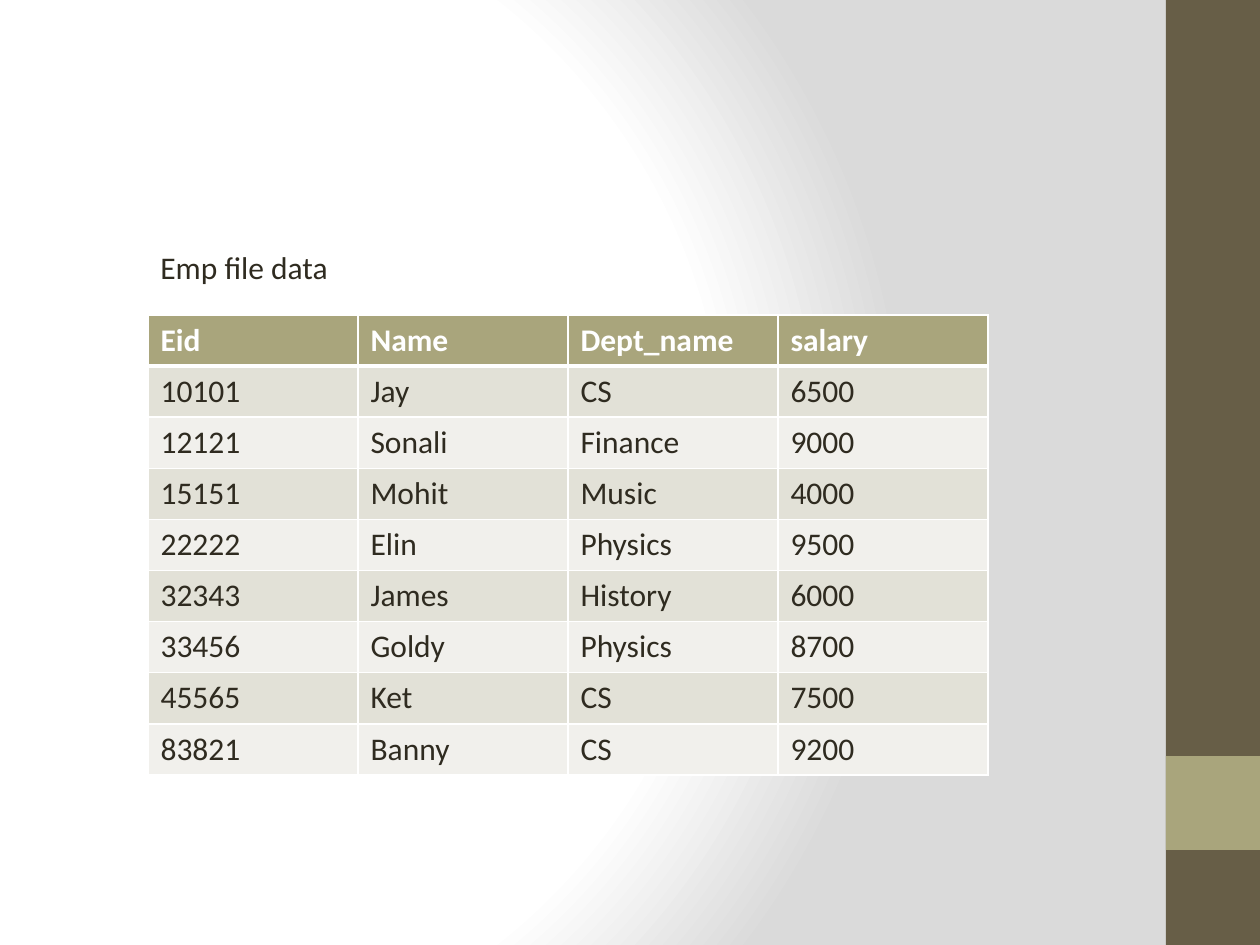
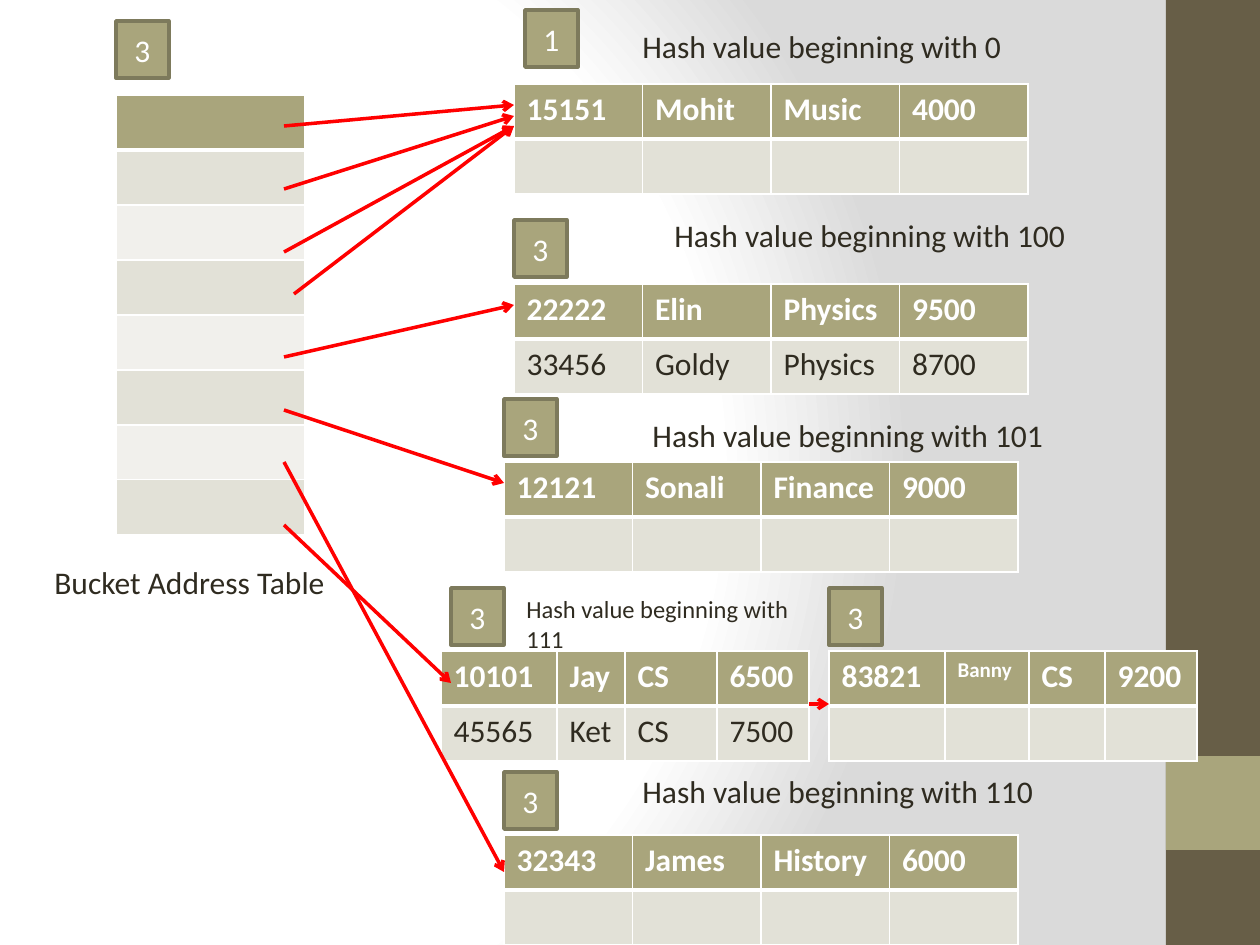
import pptx
import pptx.dml.color
import pptx.enum.dml
import pptx.enum.shapes
import pptx.enum.text
import pptx.oxml
import pptx.oxml.ns
import pptx.util

FONT = "Calibri"
WHITE, INK, SAGE, BROWN = "FFFFFF", "2F2B20", "A9A57C", "675E47"
SAGE_EDGE, RED = "7D7A5C", "FF0000"
ROW_FILLS = ("F1F0EC", "E2E1D7")
GRADIENT = ((0, WHITE), (75, WHITE), (100, "DADADA"))

PX_PER_INCH = 126
SLIDE_SIZE = (1260, 945)
BANDS = ((1166, 0, 94, 945, BROWN), (1166, 756, 94, 94, SAGE))
BADGE_SIZE = (53, 57)
LABEL_HEIGHT = 50

HEADINGS = ("Eid", "Name", "Dept_name", "salary")
EMPLOYEES = (
    ("10101", "Jay", "CS", "6500"),
    ("12121", "Sonali", "Finance", "9000"),
    ("15151", "Mohit", "Music", "4000"),
    ("22222", "Elin", "Physics", "9500"),
    ("32343", "James", "History", "6000"),
    ("33456", "Goldy", "Physics", "8700"),
    ("45565", "Ket", "CS", "7500"),
    ("83821", "Banny", "CS", "9200"),
)
EMPLOYEE_BY_ID = {employee[0]: employee for employee in EMPLOYEES}
BLANK_RECORD = ("",) * len(HEADINGS)
BUCKET_SLOTS = 2

EVEN_COLUMNS = (514 / 4,) * 4
# depth, badge place, table place, column widths, employee ids
BUCKETS = (
    ("1", (525, 10), (514, 84), EVEN_COLUMNS, ("15151",)),
    ("3", (514, 220), (514, 284), EVEN_COLUMNS, ("22222", "33456")),
    ("3", (504, 399), (504, 462), EVEN_COLUMNS, ("12121",)),
    ("3", (451, 588), (441, 651), (116, 68, 92, 92), ("10101", "45565")),
    ("3", (829, 588), (829, 651), (116, 84, 76, 92), ("83821",)),
    ("3", (504, 772), (504, 835), EVEN_COLUMNS, ("32343",)),
)
# hash prefix, left, top, width, text size
PREFIX_LABELS = (
    ("0", 630, 21, 388, 18),
    ("100", 662, 210, 462, 18),
    ("101", 640, 410, 462, 18),
    ("111", 514, 588, 315, 14),
    ("110", 630, 766, 462, 18),
)
POINTERS = (
    ((284, 126), (514, 105)),
    ((284, 189), (514, 116)),
    ((284, 252), (514, 126)),
    ((294, 294), (514, 126)),
    ((284, 357), (514, 305)),
    ((284, 410), (504, 483)),
    ((284, 462), (504, 872)),
    ((284, 525), (451, 683)),
    ((809, 704), (829, 704)),
)


def px(*lengths):
    return [pptx.util.Emu(round(length * 914400 / PX_PER_INCH)) for length in lengths]


def color(hex_string):
    return pptx.dml.color.RGBColor.from_string(hex_string)


def xml(tag, inner="", attributes=""):
    namespace = pptx.oxml.ns.nsdecls("a")
    return pptx.oxml.parse_xml(f"<a:{tag} {namespace} {attributes}>{inner}</a:{tag}>")


def solid_xml(hex_string):
    return f'<a:solidFill><a:srgbClr val="{hex_string}"/></a:solidFill>'


def format_text(text_frame, hex_string, size=18, bold=False):
    for para in text_frame.paragraphs:
        for span in para.runs:
            span.font.name = FONT
            span.font.size = pptx.util.Pt(size)
            span.font.bold = bold
            span.font.color.rgb = color(hex_string)


def add_rectangle(slide, left, top, width, height, fill):
    box = slide.shapes.add_shape(
        pptx.enum.shapes.MSO_SHAPE.RECTANGLE, *px(left, top, width, height))
    box.shadow.inherit = False
    box.fill.solid()
    box.fill.fore_color.rgb = color(fill)
    box.line.fill.background()
    return box


def style_master(deck, slide):
    """Give the master its background and side bands, built by way of one slide."""
    master = deck.slide_master
    fill = master.background.fill
    fill.solid()
    stops = "".join(
        f'<a:gs pos="{place * 1000}"><a:srgbClr val="{hex_string}"/></a:gs>'
        for place, hex_string in GRADIENT)
    gradient = xml(
        "gradFill",
        f'<a:gsLst>{stops}</a:gsLst><a:path path="circle">'
        '<a:fillToRect l="20000" t="50000" r="100000" b="50000"/></a:path>',
        'rotWithShape="1"')
    solid = master.element.find(".//" + pptx.oxml.ns.qn("p:bgPr"))[0]
    solid.getparent().replace(solid, gradient)
    for number, band in enumerate(BANDS):
        element = add_rectangle(slide, *band).element
        element.xpath(".//p:cNvPr")[0].set("id", str(100 + number))
        master.shapes.element.insert(2 + number, element)


def add_label(slide, text, left, top, width, size=18):
    box = slide.shapes.add_textbox(*px(left, top, width, LABEL_HEIGHT))
    frame = box.text_frame
    frame.word_wrap = True
    frame.auto_size = pptx.enum.text.MSO_AUTO_SIZE.SHAPE_TO_FIT_TEXT
    frame.text = text
    format_text(frame, INK, size)


def add_badge(slide, text, left, top):
    box = add_rectangle(slide, left, top, *BADGE_SIZE, SAGE)
    box.line.color.rgb = color(SAGE_EDGE)
    box.line.width = pptx.util.Pt(2)
    frame = box.text_frame
    frame.text = text
    frame.vertical_anchor = pptx.enum.text.MSO_ANCHOR.MIDDLE
    frame.paragraphs[0].alignment = pptx.enum.text.PP_ALIGN.CENTER
    format_text(frame, WHITE)


def add_arrow(slide, start, end):
    arrow = slide.shapes.add_connector(
        pptx.enum.shapes.MSO_CONNECTOR.STRAIGHT, *px(*start, *end))
    arrow.line.color.rgb = color(RED)
    arrow.line.width = pptx.util.Pt(2)
    arrow.line._get_or_add_ln().append(xml("tailEnd", attributes='type="arrow"'))
    arrow.element.spPr.append(xml("effectLst"))


def style_cell(cell, row_index, size):
    widths = {"L": 1, "R": 1, "T": 3 if row_index == 1 else 1, "B": 1 if row_index else 3}
    properties = cell._tc.get_or_add_tcPr()
    for side, points in widths.items():
        properties.append(xml("ln" + side, solid_xml(WHITE), f'w="{points * 12700}"'))
    is_header = row_index == 0
    cell.fill.solid()
    cell.fill.fore_color.rgb = color(SAGE if is_header else ROW_FILLS[row_index % 2])
    format_text(cell.text_frame, WHITE if is_header else INK, size, is_header)


def add_grid(slide, left, top, columns, row_height, rows, text_sizes=None):
    frame = slide.shapes.add_table(
        len(rows), len(columns), *px(left, top, sum(columns), row_height * len(rows)))
    table = frame.table
    for column, width in zip(table.columns, px(*columns)):
        column.width = width
    for row_index, values in enumerate(rows):
        table.rows[row_index].height = px(row_height)[0]
        for column_index, value in enumerate(values):
            cell = table.cell(row_index, column_index)
            cell.text = value
            style_cell(cell, row_index, (text_sizes or {}).get(value, 18))


def build_employee_slide(slide):
    add_grid(slide, 148, 315, (210,) * 4, 51, (HEADINGS, *EMPLOYEES))
    add_label(slide, "Emp file data", 148, 242, 472)


def build_hash_slide(slide):
    add_grid(slide, 116, 95, (189,), 55, [("",)] * 8)
    add_badge(slide, "3", 116, 21)
    add_label(slide, "Bucket Address Table", 42, 557, 305)
    for depth, badge_place, table_place, columns, ids in BUCKETS:
        records = [EMPLOYEE_BY_ID[eid] for eid in ids]
        records += [BLANK_RECORD] * (BUCKET_SLOTS - len(records))
        add_grid(slide, *table_place, columns, 55, records, {"Banny": 12})
        add_badge(slide, depth, *badge_place)
    for prefix, *place in PREFIX_LABELS:
        add_label(slide, f"Hash value beginning with {prefix}", *place)
    for start, end in POINTERS:
        add_arrow(slide, start, end)


def main():
    deck = pptx.Presentation()
    deck.slide_width, deck.slide_height = px(*SLIDE_SIZE)
    blank_layout = deck.slide_layouts[6]
    employee_slide = deck.slides.add_slide(blank_layout)
    style_master(deck, employee_slide)
    build_employee_slide(employee_slide)
    build_hash_slide(deck.slides.add_slide(blank_layout))
    deck.save("out.pptx")


if __name__ == "__main__":
    main()
